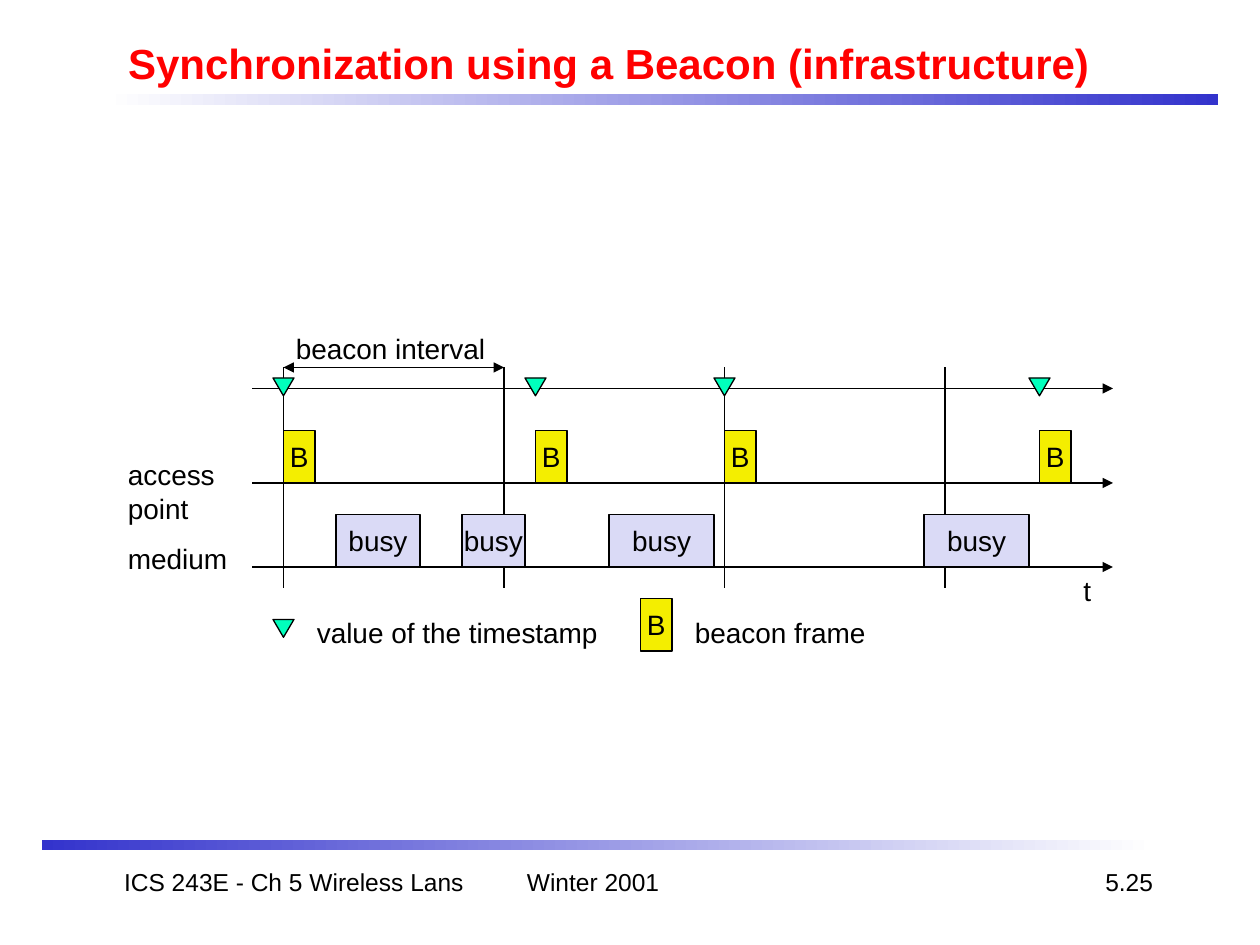
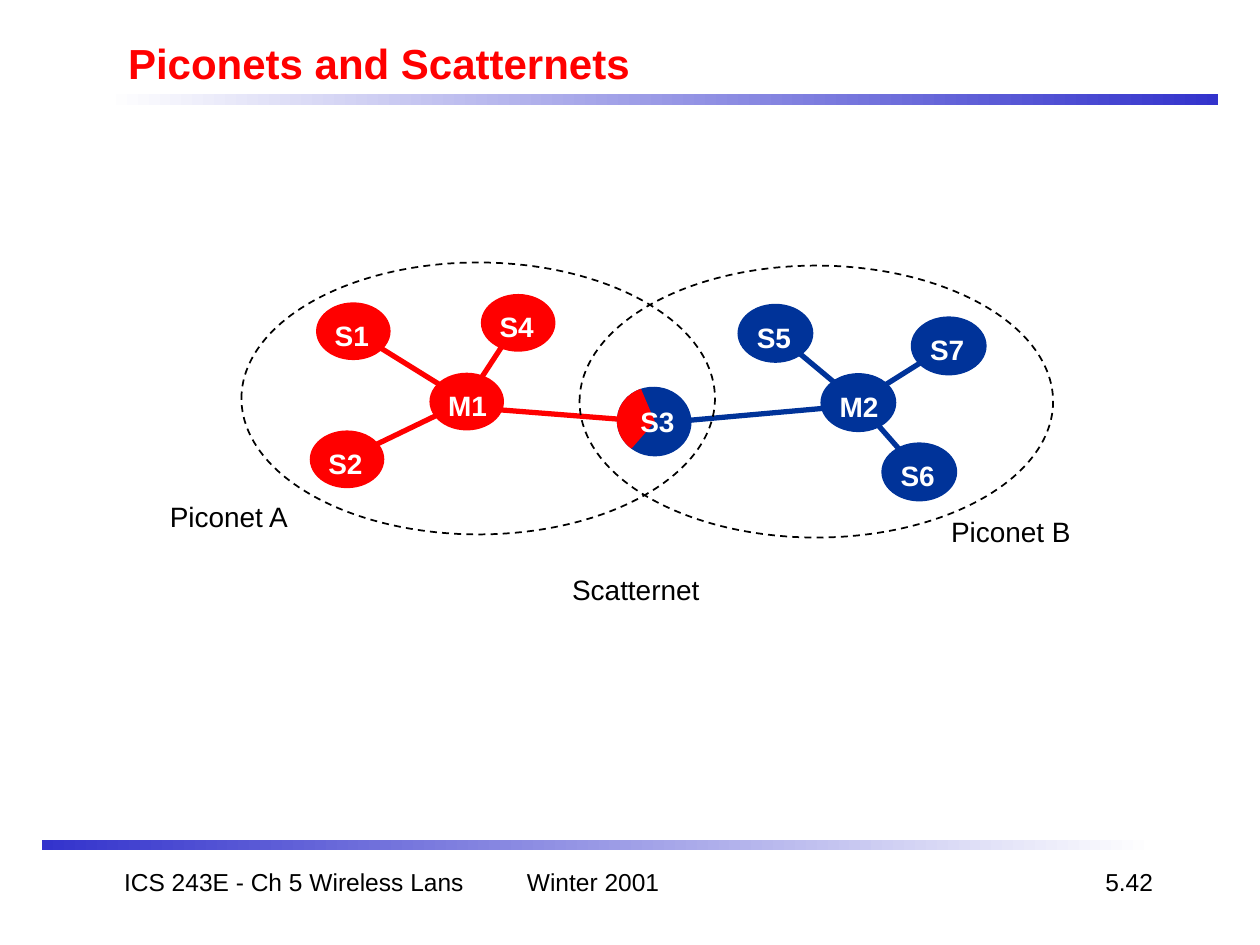
from lxml import etree
from pptx import Presentation
from pptx import util as u
from pptx.dml.color import RGBColor
from pptx.enum import dml, shapes, text
from pptx.oxml.ns import qn

PX = 7620  # EMU in one px, 120 px to the inch
FONT = "Arial"
BLACK = RGBColor(0x00, 0x00, 0x00)
WHITE = RGBColor(0xFF, 0xFF, 0xFF)
RED = RGBColor(0xFF, 0x00, 0x00)
NAVY = RGBColor(0x00, 0x33, 0x99)
BAND = RGBColor(0x33, 0x33, 0xCC)
LILAC = RGBColor(0xDA, 0xDA, 0xF6)
YELLOW = RGBColor(0xF4, 0xEE, 0x00)
MINT = RGBColor(0x01, 0xFF, 0xBC)

KIND = shapes.MSO_SHAPE
LEFT, MID, RIGHT = text.PP_ALIGN.LEFT, text.PP_ALIGN.CENTER, text.PP_ALIGN.RIGHT
NODE_W, NODE_H = 71, 55


def px(*vals):
    return [u.Emu(v * PX) for v in vals]


# Kinds of element
def style(frame, size, color, bold=False, align=LEFT):
    for para in frame.paragraphs:
        para.alignment = align
        font = para.font
        font.name, font.size, font.bold = FONT, u.Pt(size), bold
        font.color.rgb = color


def label(slide, words, x, y, w, h=44, size=16, color=BLACK, bold=False, align=LEFT):
    frame = slide.shapes.add_textbox(*px(x, y, w, h)).text_frame
    frame.word_wrap = True
    frame.text = words
    style(frame, size, color, bold, align)


def shape(slide, kind, x, y, w, h, fill=None, edge=None, width=0.75):
    item = slide.shapes.add_shape(kind, *px(x, y, w, h))
    item.shadow.inherit = False
    if fill is None:
        item.fill.background()
    else:
        item.fill.solid()
        item.fill.fore_color.rgb = fill
    if edge is None:
        item.line.fill.background()
    else:
        item.line.color.rgb = edge
        item.line.width = u.Pt(width)
    return item


def box(slide, words, x, y, w, fill):
    item = shape(slide, KIND.RECTANGLE, x, y, w, 50, fill, BLACK)
    frame = item.text_frame
    frame.word_wrap = False
    frame.vertical_anchor = text.MSO_ANCHOR.MIDDLE
    frame.text = words
    style(frame, 16, BLACK, align=MID)


def line(slide, start, end, color=BLACK, width=0.75, heads=()):
    item = slide.shapes.add_connector(
        shapes.MSO_CONNECTOR.STRAIGHT, *px(*start, *end))
    item.line.color.rgb = color
    item.line.width = u.Pt(width)
    for head in heads:
        etree.SubElement(item.line._get_or_add_ln(), qn(f"a:{head}"), type="triangle")
    etree.SubElement(item._element.spPr, qn("a:effectLst"))


def band(slide, x, y, first, last):
    item = shape(slide, KIND.RECTANGLE, x, y, 1060, 10)
    item.fill.gradient()
    item.fill.gradient_angle = 0
    for stop, color, place in zip(item.fill.gradient_stops, (first, last), (0, 1)):
        stop.color.rgb = color
        stop.position = place


def stamp(slide, x, y):
    shape(slide, KIND.FLOWCHART_MERGE, x - 10, y, 20, 17, MINT, BLACK)


def beacon(slide, x, y):
    box(slide, "B", x, y, 30, YELLOW)


# Title, bands and footer of every slide
def start(deck, title, page):
    slide = deck.slides.add_slide(deck.slide_layouts[5])
    band(slide, 100, 90, WHITE, BAND)
    band(slide, 40, 800, BAND, WHITE)
    head = slide.shapes.title
    head.left, head.top, head.width, head.height = px(110, 30, 1020, 60)
    frame = head.text_frame
    frame.text = title
    frame.auto_size = text.MSO_AUTO_SIZE.NONE
    frame.vertical_anchor = text.MSO_ANCHOR.MIDDLE
    style(frame, 24, RED, True)
    for words, x, w, align in (
        ("ICS 243E - Ch 5 Wireless Lans", 90, 380, MID),
        ("Winter 2001", 490, 250, LEFT),
        (page, 860, 250, RIGHT),
    ):
        label(slide, words, x, 820, w, 60, 14, align=align)
    return slide


def timing(deck):
    slide = start(deck, "Synchronization using a Beacon (infrastructure)", "5.25")

    # Time axes and beacon intervals
    for y in (370, 460, 540):
        line(slide, (240, y), (1060, y), heads=["tailEnd"])
    for i in range(4):
        x = 270 + 210 * i
        line(slide, (x, 350), (x, 560))
    line(slide, (270, 350), (480, 350), heads=["headEnd", "tailEnd"])

    # Busy periods and beacons
    for x, w in ((320, 80), (440, 60), (580, 100), (880, 100)):
        box(slide, "busy", x, 490, w, LILAC)
    for x in (270, 510, 690, 990):
        beacon(slide, x, 410)
        stamp(slide, x, 360)

    # Legend and labels
    stamp(slide, 270, 590)
    beacon(slide, 610, 570)
    for words, x, y, w, h in (
        ("beacon interval", 270, 310, 220, 44),
        ("access\npoint", 110, 430, 120, 77),
        ("medium", 110, 510, 130, 44),
        ("t", 1020, 540, 40, 44),
        ("value of the timestamp", 290, 580, 310, 44),
        ("beacon frame", 650, 580, 210, 44),
    ):
        label(slide, words, x, y, w, h)


def spokes(slide, nodes, color):
    """Join each node to the hub, which comes first."""
    hub, *rest = [(x + NODE_W // 2, y + NODE_H // 2) for _, x, y in nodes]
    for spot in rest:
        line(slide, spot, hub, color, 3)


def discs(slide, nodes, color, edge):
    for name, x, y in nodes:
        shape(slide, KIND.OVAL, x, y, NODE_W, NODE_H, color, edge)
        tag(slide, name, x + 6, y + 9)


def tag(slide, name, x, y):
    label(slide, name, x, y, 77, color=WHITE, bold=True)


def shared(slide):
    """Node S3, part of both piconets."""
    spot = (588, 369, 70, 65)
    disc = shape(slide, KIND.OVAL, *spot, NAVY, NAVY)
    wedge = shape(slide, KIND.PIE, *spot, RED, RED)
    for i, angle in enumerate((123, 239)):
        wedge.adjustments[i] = angle * 0.6
    disc.rotation = wedge.rotation = 8
    tag(slide, "S3", 598, 379)


def nets(deck):
    slide = start(deck, "Piconets and Scatternets", "5.42")
    reds = [("M1", 409, 355), ("S1", 301, 288), ("S2", 295, 410), ("S4", 458, 280)]
    blues = [("M2", 782, 356), ("S5", 703, 290), ("S6", 840, 422), ("S7", 868, 302)]

    # Links below the nodes
    spokes(slide, reds, RED)
    spokes(slide, blues, NAVY)
    line(slide, (446, 388), (625, 402), RED, 3)
    line(slide, (626, 403), (817, 386), NAVY, 3)

    # Nodes
    shared(slide)
    discs(slide, reds, RED, None)
    discs(slide, blues, NAVY, NAVY)

    # Piconet outlines and names
    for x, y in ((230, 250), (552, 253)):
        ring = shape(slide, KIND.OVAL, x, y, 451, 259, edge=BLACK, width=1)
        ring.line.dash_style = dml.MSO_LINE.DASH
    label(slide, "Piconet A", 150, 470, 320)
    label(slide, "Piconet B", 894, 484, 167)
    label(slide, "Scatternet", 522, 539, 167, align=MID)


def main():
    deck = Presentation()
    deck.slide_width, deck.slide_height = px(1200, 900)
    timing(deck)
    nets(deck)
    deck.save("out.pptx")


if __name__ == "__main__":
    main()
